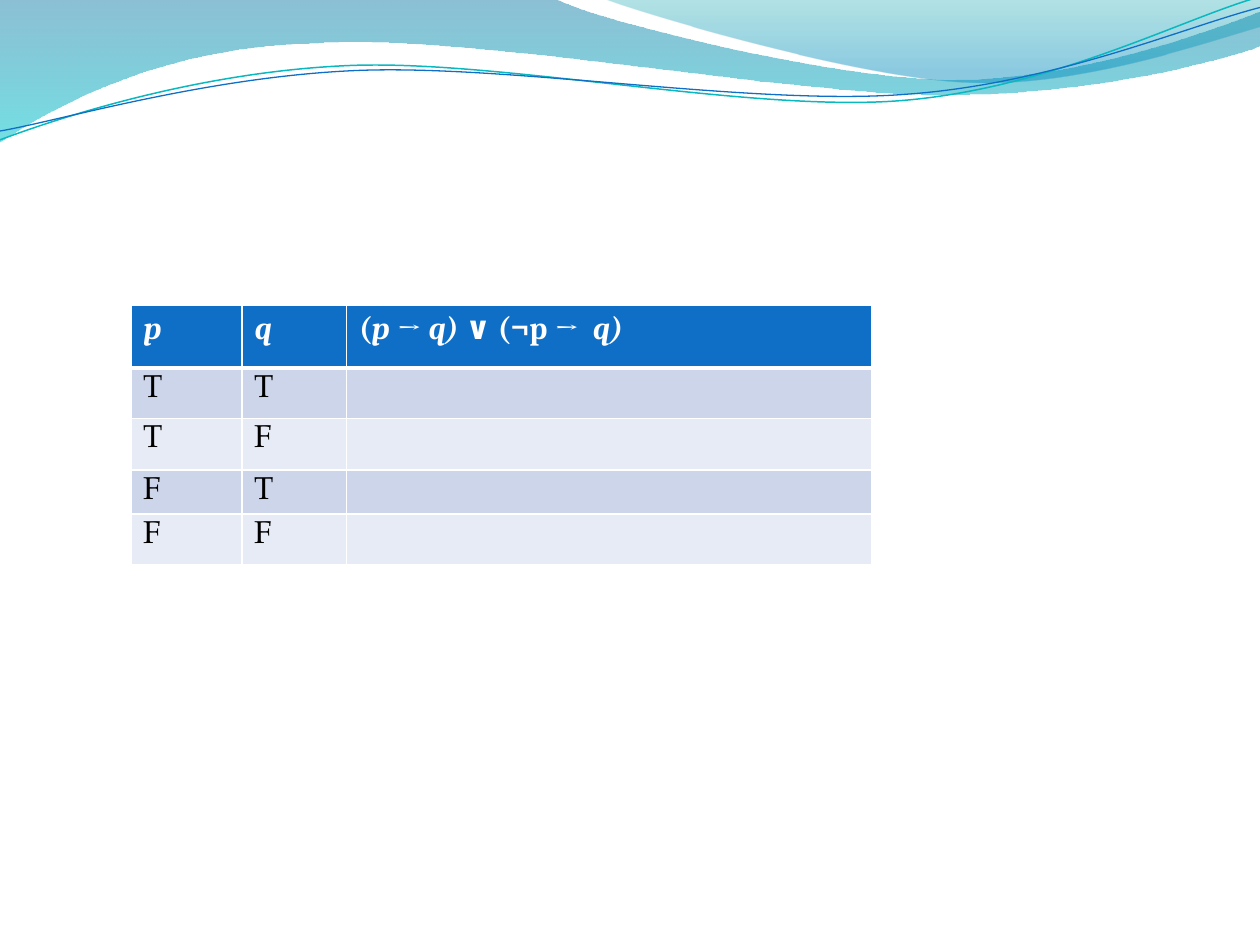
import math
import pptx
import pptx.util
import pptx.dml.color
import pptx.oxml
import pptx.oxml.ns

Inches = pptx.util.Inches
Pt = pptx.util.Pt
SPACE = pptx.oxml.ns.nsdecls("a")

HUES = {"head": "0F6FC6", "odd": "CCD5EA", "even": "E7EBF5", "white": "FFFFFF",
        "black": "000000", "teal": "0AB8BF", "blue": "0F6FC6"}

HEAD = [
    [("p", True)],
    [("q", True)],
    [("(", False), ("p ", True), ("→ ", False), ("q) ", True),
     ("∨ (¬p →  ", False), ("q)", True)],
]
ROWS = [("T", "T", ""), ("T", "F", ""), ("F", "T", ""), ("F", "F", "")]
WIDTHS = [0.88, 0.83, 4.17]
HEIGHTS = [0.5, 0.4, 0.41, 0.35, 0.4]

BANDS = [
    {"start": (0, 0),
     "segs": [(4.4, -0.01), (4.76, 0.17, 6.64, 0.63, 7.58, 0.63),
              (8.53, 0.63, 9.58, 0.26, 10, 0.09), (10.01, 0.36),
              (9.83, 0.44, 8.7, 0.76, 7.46, 0.75),
              (6.22, 0.75, 3.82, 0.28, 2.57, 0.34),
              (1.29, 0.36, 0.46, 0.83, -0.01, 1.13), (0, 0)],
     "stops": [(0, "0074A1", 45), (1, "00C6CF", 55)]},
    {"start": (4.79, -0.01),
     "segs": [(5.09, 0.11, 6.82, 0.62, 7.69, 0.65),
              (8.56, 0.69, 9.61, 0.32, 10, 0.21), (10, 0), (4.79, -0.01)],
     "stops": [(0, "00A1A9", 30), (0.8, "008BBF", 45)]},
]
WAVES = [
    {"start": (0, 1.11), "hue": "teal", "width": 0.85, "mid": (4.99, 0.58),
     "segs": [(0.48, 0.93, 1.58, 0.57, 2.77, 0.52),
              (3.95, 0.47, 5.93, 0.89, 7.13, 0.8),
              (8.33, 0.71, 9.38, 0.15, 9.98, -0.02)]},
    {"start": (0, 1.04), "hue": "blue", "width": 0.75, "mid": (5, 0.59),
     "segs": [(0.47, 0.96, 1.64, 0.61, 2.83, 0.56),
              (4.03, 0.51, 5.97, 0.84, 7.17, 0.75),
              (8.36, 0.67, 9.41, 0.21, 10, 0.06)]},
]
TILT = -2.7


def color(code):
    return pptx.dml.color.RGBColor.from_string(code)


def spread(part):
    points = [part["start"]]
    for seg in part["segs"]:
        points += zip(seg[::2], seg[1::2])
    return points


def turn(points, mid, angle):
    cos, sin = math.cos(math.radians(angle)), math.sin(math.radians(angle))
    moved = [(x - mid[0], y - mid[1]) for x, y in points]
    return [(mid[0] + x * cos - y * sin, mid[1] + x * sin + y * cos)
            for x, y in moved]


def draw(slide, points, segs, close):
    spots = [(Inches(x), Inches(y)) for x, y in points]
    pen = slide.shapes.build_freeform(*spots[0], scale=1.0)
    pen.add_line_segments(spots[1:], close=close)
    shape = pen.convert_to_shape()
    shape.shadow.inherit = False
    lines = iter(shape._element.xpath(".//a:lnTo"))
    for seg in segs:
        first = next(lines)
        if len(seg) == 6:
            curve = pptx.oxml.parse_xml(f"<a:cubicBezTo {SPACE}/>")
            first.addprevious(curve)
            for line in (first, next(lines), next(lines)):
                curve.append(line[0])
                line.getparent().remove(line)
    return shape


def add_band(slide, band):
    shape = draw(slide, spread(band), band["segs"], True)
    shape.line.fill.background()
    shape.fill.gradient()
    shape.fill.gradient_angle = 270
    for stop, (place, code, _) in zip(shape.fill.gradient_stops, band["stops"]):
        stop.position = place
        stop.color.rgb = color(code)
    tints = shape._element.xpath(".//a:gs/a:srgbClr")
    for tint, (_, _, alpha) in zip(tints, band["stops"]):
        tint.append(pptx.oxml.parse_xml(
            f'<a:alpha {SPACE} val="{alpha * 1000}"/>'))


def add_wave(slide, wave):
    points = turn(spread(wave), wave["mid"], -TILT)
    shape = draw(slide, points, wave["segs"], False)
    shape.rotation = TILT
    shape.fill.background()
    shape.line.color.rgb = color(HUES[wave["hue"]])
    shape.line.width = Pt(wave["width"])


def set_cell(cell, runs, fill, font, ink, bold):
    cell.fill.solid()
    cell.fill.fore_color.rgb = color(HUES[fill])
    para = cell.text_frame.paragraphs[0]
    para.font.size = Pt(18)
    para.font.name = font
    para.font.bold = bold
    para.font.color.rgb = color(HUES[ink])
    for text, slant in runs:
        run = para.add_run()
        run.text = text
        run.font.italic = slant


def set_edges(cell, top, bottom):
    props = cell._tc.get_or_add_tcPr()
    edges = [("L", 1), ("R", 1), ("T", top), ("B", bottom)]
    for spot, (side, width) in enumerate(edges):
        props.insert(spot, pptx.oxml.parse_xml(
            f'<a:ln{side} {SPACE} w="{Pt(width)}"><a:solidFill>'
            f'<a:srgbClr val="{HUES["white"]}"/></a:solidFill></a:ln{side}>'))


def add_truth(slide):
    table = slide.shapes.add_table(
        len(HEIGHTS), len(WIDTHS), Inches(1.04), Inches(2.42),
        Inches(sum(WIDTHS)), Inches(sum(HEIGHTS))).table
    for col, width in zip(table.columns, WIDTHS):
        col.width = Inches(width)
    for row, height in zip(table.rows, HEIGHTS):
        row.height = Inches(height)
    for c, runs in enumerate(HEAD):
        cell = table.cell(0, c)
        set_cell(cell, runs, "head", "Cambria", "white", True)
        set_edges(cell, 1, 3)
    for r, row in enumerate(ROWS, 1):
        for c, text in enumerate(row):
            cell = table.cell(r, c)
            cell.margin_bottom = 0
            set_cell(cell, [(text, False)] if text else [],
                     "odd" if r % 2 else "even", "TeX Gyre Pagella", "black", False)
            set_edges(cell, 3 if r == 1 else 1, 1)


def main():
    deck = pptx.Presentation()
    deck.slide_width, deck.slide_height = Inches(10), Inches(7.5)
    slide = deck.slides.add_slide(deck.slide_layouts[6])
    for band in BANDS:
        add_band(slide, band)
    for wave in WAVES:
        add_wave(slide, wave)
    add_truth(slide)
    deck.save("out.pptx")


if __name__ == "__main__":
    main()
